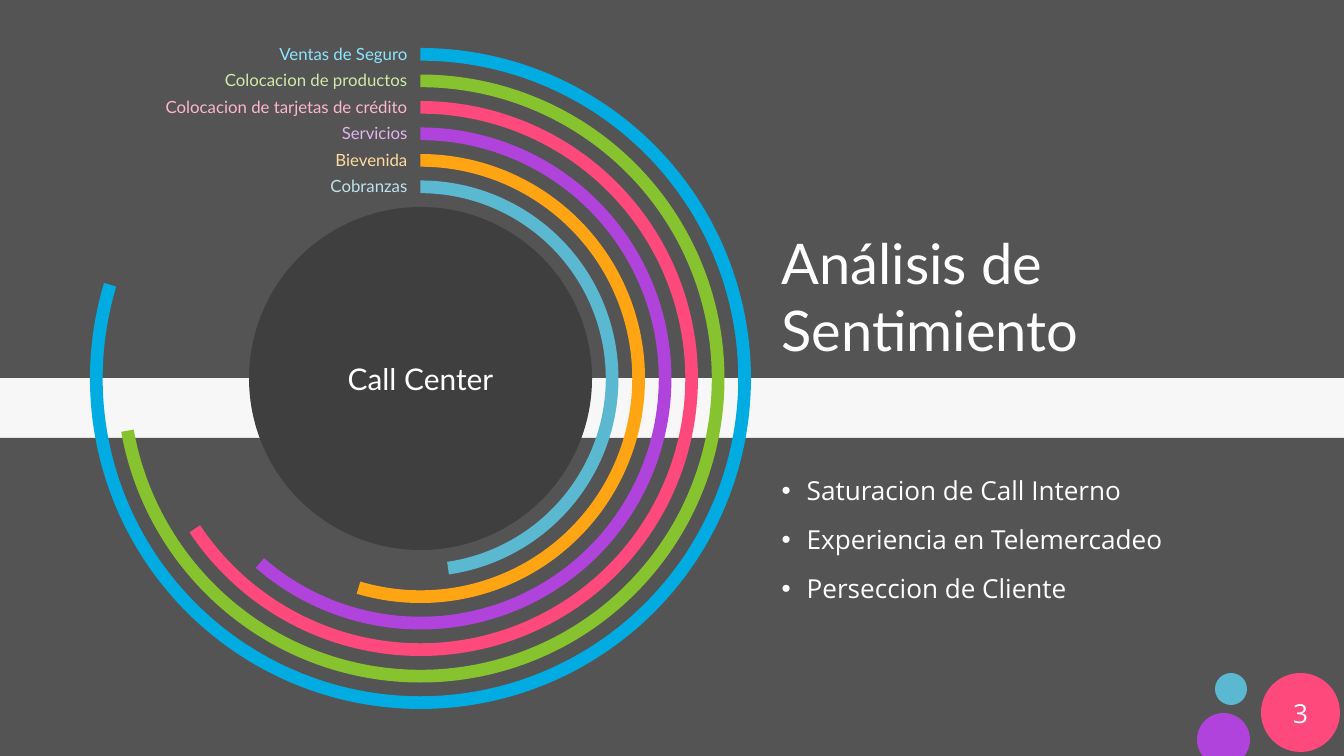
"""Build the call center sentiment slide with concentric progress rings."""
import math
from dataclasses import dataclass

from lxml import etree
from pptx import Presentation
from pptx.dml.color import RGBColor
from pptx.enum import shapes, text
from pptx.oxml import ns
from pptx.util import Pt

SCALE = 914400 / 67.2
WIDTH, HEIGHT = 1344, 756


@dataclass(frozen=True)
class Theme:
    """Colours, fonts and type sizes of the slide."""
    paper: str = "F7F7F7"
    panel: str = "545454"
    hub: str = "3F3F3F"
    white: str = "FFFFFF"
    blue: str = "00ACE2"
    green: str = "87C32F"
    pink: str = "FD497C"
    purple: str = "B143DD"
    orange: str = "FFA513"
    teal: str = "5BB8D1"
    heading_font: str = "Lato"
    body_font: str = "Open Sans"
    title_size: int = 60
    hub_size: int = 32
    body_size: int = 28
    label_size: int = 18


@dataclass(frozen=True)
class Ring:
    """One progress ring: label, colours and end angle in degrees."""
    label: str
    color: str
    label_color: str
    end: float


@dataclass(frozen=True)
class Box:
    """A rectangle in pixels."""
    left: float
    top: float
    width: float
    height: float

    def emu(self) -> tuple[int, ...]:
        """Return the rectangle in EMU."""
        return tuple(px(v) for v in (self.left, self.top, self.width, self.height))


def px(value: float) -> int:
    """Turn pixels into EMU."""
    return round(value * SCALE)


def paint(shape, color: str):
    """Give a shape a plain fill without line or shadow."""
    shape.shadow.inherit = False
    shape.fill.solid()
    shape.fill.fore_color.rgb = RGBColor.from_string(color)
    shape.line.fill.background()
    return shape


def add_preset(slide, kind, box: Box, color: str):
    """Add a plain preset shape."""
    return paint(slide.shapes.add_shape(kind, *box.emu()), color)


def write(paragraph, words: str, font: str, size: int, color: str, align) -> None:
    """Add one formatted run to a paragraph."""
    paragraph.alignment = align
    run = paragraph.add_run()
    run.text = words
    run.font.name = font
    run.font.size = Pt(size)
    run.font.color.rgb = RGBColor.from_string(color)


def set_frame(frame, anchor) -> None:
    """Wrap a text frame at a fixed size with the given anchor."""
    frame.word_wrap = True
    frame.auto_size = text.MSO_AUTO_SIZE.NONE
    frame.vertical_anchor = anchor


def add_text(slide, box: Box, words: str, font: str, size: int, color: str, align) -> None:
    """Add a single-line text box centred vertically."""
    frame = slide.shapes.add_textbox(*box.emu()).text_frame
    set_frame(frame, text.MSO_ANCHOR.MIDDLE)
    write(frame.paragraphs[0], words, font, size, color, align)


def add_ring(slide, ring: Ring, index: int, theme: Theme) -> None:
    """Add a ring and its label, counted from the outside."""
    diameter = 661 - 53 * index
    box = Box(420.5 - diameter / 2, 378.5 - diameter / 2, diameter, diameter)
    arc = add_preset(slide, shapes.MSO_SHAPE.BLOCK_ARC, box, ring.color)
    for slot, value in enumerate((270 * 0.6, ring.end * 0.6, 12.7 / diameter)):
        arc.adjustments[slot] = value
    add_text(slide, Box(62, 40 + 26.5 * index, 352, 27), ring.label, theme.heading_font,
             theme.label_size, ring.label_color, text.PP_ALIGN.RIGHT)


def add_cut_bubble(slide, x: float, y: float, radius: float, color: str) -> None:
    """Add a circle cut off by the bottom edge of the slide."""
    start = math.pi - math.asin((HEIGHT - y) / radius)
    sweep = 3 * math.pi - 2 * start
    steps = 60
    angles = [start + sweep * step / steps for step in range(steps + 1)]
    points = [(px(x + radius * math.cos(a)), px(y + radius * math.sin(a))) for a in angles]
    builder = slide.shapes.build_freeform(*points[0])
    builder.add_line_segments(points[1:], close=True)
    paint(builder.convert_to_shape(), color)


def place(holder, box: Box, anchor):
    """Move a placeholder to the front at a new position and return its frame."""
    holder.left, holder.top, holder.width, holder.height = box.emu()
    tree = holder.element.getparent()
    tree.append(holder.element)
    set_frame(holder.text_frame, anchor)
    return holder.text_frame


def add_bullet(paragraph, words: str, theme: Theme) -> None:
    """Write one bulleted line with a hanging indent."""
    paragraph.line_spacing = 1.2
    paragraph.space_before = Pt(12)
    write(paragraph, words, theme.body_font, theme.body_size, theme.white, text.PP_ALIGN.LEFT)
    properties = paragraph._p.get_or_add_pPr()
    properties.set("marL", str(px(25)))
    properties.set("indent", str(-px(25)))
    etree.SubElement(properties, ns.qn("a:buChar")).set("char", "•")


def build() -> None:
    """Draw the slide and save it."""
    theme = Theme()
    rings = [
        Ring("Ventas de Seguro", theme.blue, "8DE4FF", 196.8),
        Ring("Colocacion de productos", theme.green, "D0EAA9", 169.9),
        Ring("Colocacion de tarjetas de crédito", theme.pink, "FEB6CB", 146.34),
        Ring("Servicios", theme.purple, "E0B4F1", 131.02),
        Ring("Bievenida", theme.orange, "FFDBA1", 106.5),
        Ring("Cobranzas", theme.teal, "BDE3ED", 81.73),
    ]
    topics = ["Saturacion de Call Interno", "Experiencia en Telemercadeo", "Perseccion de Cliente"]

    deck = Presentation()
    deck.slide_width, deck.slide_height = px(WIDTH), px(HEIGHT)
    slide = deck.slides.add_slide(deck.slide_layouts[1])
    slide.background.fill.solid()
    slide.background.fill.fore_color.rgb = RGBColor.from_string(theme.paper)

    oval = shapes.MSO_SHAPE.OVAL
    for panel in (Box(0, 438, WIDTH, 318), Box(0, 0, WIDTH, 378)):
        add_preset(slide, shapes.MSO_SHAPE.RECTANGLE, panel, theme.panel)
    add_preset(slide, oval, Box(1215, 673, 32, 32), theme.teal)
    add_preset(slide, oval, Box(1261, 673, 79, 79), theme.pink)
    add_cut_bubble(slide, 1223.5, 739.5, 26.5, theme.purple)
    add_text(slide, Box(1261, 693, 79, 40), "3", theme.body_font, theme.body_size,
             theme.white, text.PP_ALIGN.CENTER)

    hub = add_preset(slide, oval, Box(249, 207, 343, 343), theme.hub).text_frame
    set_frame(hub, text.MSO_ANCHOR.MIDDLE)
    write(hub.paragraphs[0], "Call Center", theme.heading_font, theme.hub_size,
          theme.white, text.PP_ALIGN.CENTER)
    for index, ring in enumerate(rings):
        add_ring(slide, ring, index, theme)

    heading, body = slide.shapes.title, slide.placeholders[1]
    title = place(heading, Box(775, 56, 528, 310), text.MSO_ANCHOR.BOTTOM)
    write(title.paragraphs[0], "Análisis de Sentimiento", theme.heading_font,
          theme.title_size, theme.white, text.PP_ALIGN.LEFT)
    listing = place(body, Box(775, 465, 505, 248), text.MSO_ANCHOR.TOP)
    for index, topic in enumerate(topics):
        line = listing.add_paragraph() if index else listing.paragraphs[0]
        add_bullet(line, topic, theme)

    deck.save("out.pptx")


build()
